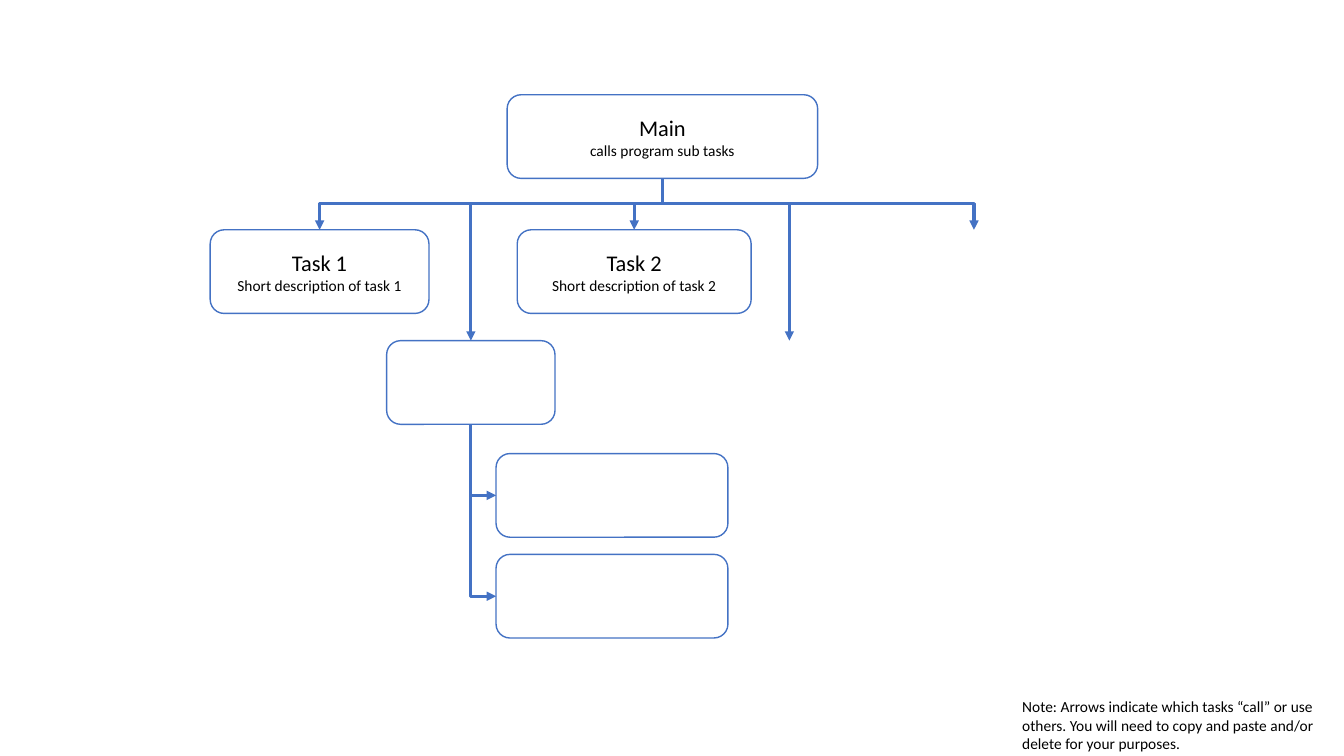
from lxml import etree
from pptx import Presentation
from pptx import util as u
from pptx.dml.color import RGBColor
from pptx.enum import shapes, text
from pptx.oxml.ns import qn

BLUE = RGBColor(0x44, 0x72, 0xC4)
WHITE = RGBColor(0xFF, 0xFF, 0xFF)
BLACK = RGBColor(0, 0, 0)
FONT = "Calibri"
TITLE_SIZE, BODY_SIZE = 16, 11

# Lengths in inches
SLIDE_WIDTH, SLIDE_HEIGHT = 13.33, 7.5
ROW_TOPS = (0.94, 2.28, 3.38, 4.5, 5.5)
BOX_HEIGHT = 0.83
BUS_DROP = 0.25
TOP, LEFT, BOTTOM = 0, 1, 2  # connection sites of a box

# name: (centre, row, width, lines)
BOXES = {
    "main": (6.57, 0, 3.08, ("Main", "calls program sub tasks")),
    "task 1": (3.17, 1, 2.17, ("Task 1", "Short description of task 1")),
    "shared": (4.67, 2, 1.67, ()),
    "task 2": (6.29, 1, 2.32, ("Task 2", "Short description of task 2")),
    "helper 1": (6.07, 3, 2.3, ()),
    "helper 2": (6.07, 4, 2.3, ()),
}
MAIN_CALLS = ("task 1", "shared", "task 2")
OPEN_CALLS = ((7.83, 2), (9.66, 1))  # (centre, row) of arrows with no box yet
SHARED_CALLS = ("helper 1", "helper 2")

NOTE = ("Note: Arrows indicate which tasks “call” or use others. You will need "
        "to copy and paste and/or delete for your purposes.")
NOTE_AREA = (10.04, 6.87, 3.3, 1.26)


def write(paragraph, words, size=BODY_SIZE, align=text.PP_ALIGN.LEFT):
    paragraph.alignment = align
    run = paragraph.add_run()
    run.text = words
    run.font.name = FONT
    run.font.size = u.Pt(size)
    run.font.color.rgb = BLACK


def add_box(slide, centre, row, width, lines):
    box = slide.shapes.add_shape(
        shapes.MSO_SHAPE.ROUNDED_RECTANGLE, u.Inches(centre - width / 2),
        u.Inches(ROW_TOPS[row]), u.Inches(width), u.Inches(BOX_HEIGHT))
    box.shadow.inherit = False
    box.fill.solid()
    box.fill.fore_color.rgb = WHITE
    box.line.color.rgb = BLUE
    box.line.width = u.Pt(1)
    frame = box.text_frame
    frame.vertical_anchor = text.MSO_ANCHOR.MIDDLE
    for index, words in enumerate(lines):
        paragraph = frame.add_paragraph() if index else frame.paragraphs[0]
        write(paragraph, words, size=BODY_SIZE if index else TITLE_SIZE,
              align=text.PP_ALIGN.CENTER)
    return box


def add_call(slide, source, start, end, target=None, site=TOP):
    """Draw an elbow arrow that leaves source downwards and ends at target."""
    arrow = slide.shapes.add_connector(
        shapes.MSO_CONNECTOR.ELBOW, *(u.Inches(v) for v in (*start, *end)))
    arrow.begin_connect(source, BOTTOM)
    if target is not None:
        arrow.end_connect(target, site)
    arrow.line.color.rgb = BLUE
    arrow.line.width = u.Pt(2.25)

    # The preset runs sideways first, so its frame is turned by a quarter.
    across, down = end[0] - start[0], end[1] - start[1]
    arrow.width, arrow.height = u.Inches(down), u.Inches(abs(across))
    arrow.left = u.Inches((start[0] + end[0] - down) / 2)
    arrow.top = u.Inches((start[1] + end[1] - abs(across)) / 2)
    properties = arrow._element.spPr
    frame = properties.find(qn("a:xfrm"))
    frame.attrib.pop("flipH", None)
    frame.attrib.pop("flipV", None)
    frame.set("rot", str((270 if across > 0 else 90) * 60000))
    if across > 0:
        frame.set("flipH", "1")

    geometry = properties.find(qn("a:prstGeom"))
    if site == LEFT:
        geometry.set("prst", "bentConnector2")
    else:
        guides = geometry.find(qn("a:avLst"))
        etree.SubElement(guides, qn("a:gd"), name="adj1",
                         fmla=f"val {round(BUS_DROP / down * 100000)}")
    etree.SubElement(properties.find(qn("a:ln")), qn("a:tailEnd"), type="triangle")
    etree.SubElement(properties, qn("a:effectLst"))


def box_bottom(name):
    centre, row, _, _ = BOXES[name]
    return centre, ROW_TOPS[row] + BOX_HEIGHT


def add_note(slide):
    note = slide.shapes.add_textbox(*(u.Inches(v) for v in NOTE_AREA))
    note.text_frame.word_wrap = True
    note.text_frame.auto_size = text.MSO_AUTO_SIZE.SHAPE_TO_FIT_TEXT
    write(note.text_frame.paragraphs[0], NOTE)


def main():
    presentation = Presentation()
    presentation.slide_width = u.Inches(SLIDE_WIDTH)
    presentation.slide_height = u.Inches(SLIDE_HEIGHT)
    slide = presentation.slides.add_slide(presentation.slide_layouts[6])

    boxes = {name: add_box(slide, *box) for name, box in BOXES.items()}

    calls = [(*BOXES[name][:2], boxes[name]) for name in MAIN_CALLS]
    calls += [(*place, None) for place in OPEN_CALLS]
    for centre, row, target in calls:
        add_call(slide, boxes["main"], box_bottom("main"),
                 (centre, ROW_TOPS[row]), target)

    for name in SHARED_CALLS:
        centre, row, width, _ = BOXES[name]
        end = (centre - width / 2, ROW_TOPS[row] + BOX_HEIGHT / 2)
        add_call(slide, boxes["shared"], box_bottom("shared"), end,
                 boxes[name], site=LEFT)

    add_note(slide)
    presentation.save("out.pptx")


if __name__ == "__main__":
    main()
